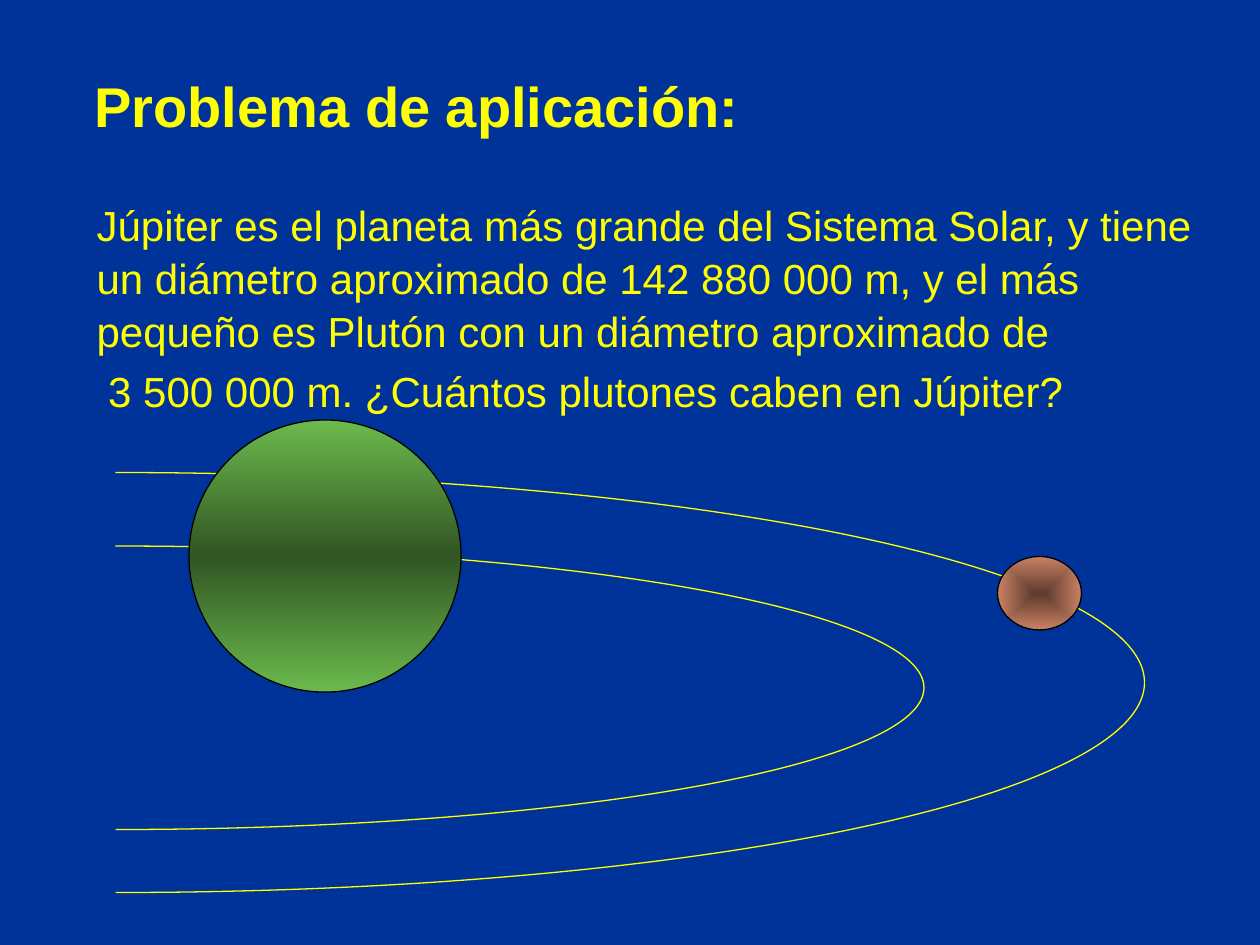
from dataclasses import dataclass

from lxml import etree
from pptx import Presentation
from pptx.dml.color import RGBColor
from pptx.enum.shapes import MSO_SHAPE
from pptx.enum.text import MSO_ANCHOR, MSO_AUTO_SIZE, PP_ALIGN
from pptx.oxml import parse_xml
from pptx.oxml.ns import nsdecls, qn
from pptx.util import Pt

ARC, OVAL = MSO_SHAPE.ARC, MSO_SHAPE.OVAL
LEFT, MIDDLE, TOP = PP_ALIGN.LEFT, MSO_ANCHOR.MIDDLE, MSO_ANCHOR.TOP
FIT_SHAPE, NO_FIT = MSO_AUTO_SIZE.SHAPE_TO_FIT_TEXT, MSO_AUTO_SIZE.NONE


@dataclass(frozen=True)
class Theme:
    sky: str = "003399"
    ink: str = "FFFF00"
    outline: str = "000000"
    jupiter: tuple = ((0, "6BBA4C"), (50, "315523"), (100, "6BBA4C"))
    pluto: tuple = ((0, "5D3B2E"), (100, "CA8164"))
    font: str = "Arial"
    heading_size: float = 32
    body_size: float = 24
    line_width: float = 0.75


theme = Theme()


def place(shape, left, top, width, height):
    shape.left, shape.top = Pt(left), Pt(top)
    shape.width, shape.height = Pt(width), Pt(height)


def write(paragraph, text, size, bold=False):
    paragraph.alignment = LEFT
    run = paragraph.add_run()
    run.text = text
    run.font.name = theme.font
    run.font.size = Pt(size)
    run.font.bold = bold
    run.font.color.rgb = RGBColor.from_string(theme.ink)


deck = Presentation()
deck.slide_width, deck.slide_height = Pt(720), Pt(540)
slide = deck.slides.add_slide(deck.slide_layouts[1])
slide.background.fill.solid()
slide.background.fill.fore_color.rgb = RGBColor.from_string(theme.sky)

heading = slide.shapes.title
place(heading, 46.8, 43.2, 404, 34)
heading.text_frame.vertical_anchor = MIDDLE
heading.text_frame.auto_size = NO_FIT
write(heading.text_frame.paragraphs[0], "Problema de aplicación:", theme.heading_size, True)

problem = slide.placeholders[1]
place(problem, 48, 109, 642, 123)
statement = problem.text_frame
statement.vertical_anchor = TOP
statement.auto_size = FIT_SHAPE
sentences = (
    ("Júpiter es el planeta más grande del Sistema Solar, y tiene un diámetro "
     "aproximado de 142 880 000 m, y el más pequeño es Plutón con un diámetro "
     "aproximado de", 1.05, 0),
    (" 3 500 000 m. ¿Cuántos plutones caben en Júpiter?", 0.5, 18),
)
for index, (sentence, spacing, before) in enumerate(sentences):
    paragraph = statement.add_paragraph() if index else statement.paragraphs[0]
    properties = paragraph._p.get_or_add_pPr()
    properties.set("marL", "0")
    properties.set("indent", "0")
    etree.SubElement(properties, qn("a:buNone"))
    paragraph.line_spacing = spacing
    paragraph.space_before = Pt(before)
    write(paragraph, sentence, theme.body_size)

CENTRE_OUT = '<a:path path="rect"><a:fillToRect l="50000" t="50000" r="50000" b="50000"/></a:path>'
TOP_DOWN = '<a:lin ang="5400000" scaled="0"/>'
QUARTERS = ((162, 0), (0, 54))
systems = (
    ((-522, 270, 1176, 240), (570, 318, 48, 42), theme.pluto, CENTRE_OUT),
    ((-396, 312, 924, 162), (108, 240, 155.5, 155.5), theme.jupiter, TOP_DOWN),
)
for orbit, globe, stops, direction in systems:
    system = slide.shapes.add_group_shape()
    for start, end in QUARTERS:
        arc = system.shapes.add_shape(ARC, *map(Pt, orbit))
        arc.adjustments[0], arc.adjustments[1] = start, end
        arc.shadow.inherit = False
        arc.fill.background()
        arc.line.color.rgb = RGBColor.from_string(theme.ink)
        arc.line.width = Pt(theme.line_width)

    planet = system.shapes.add_shape(OVAL, *map(Pt, globe))
    planet.shadow.inherit = False
    planet.line.color.rgb = RGBColor.from_string(theme.outline)
    planet.line.width = Pt(theme.line_width)
    planet.fill.solid()
    shades = "".join(
        f'<a:gs pos="{position * 1000}"><a:srgbClr val="{color}"/></a:gs>'
        for position, color in stops
    )
    gradient = parse_xml(
        f'<a:gradFill {nsdecls("a")} rotWithShape="1">'
        f"<a:gsLst>{shades}</a:gsLst>{direction}</a:gradFill>"
    )
    surface = planet._element.spPr
    surface.replace(surface.find(qn("a:solidFill")), gradient)

deck.save("out.pptx")
